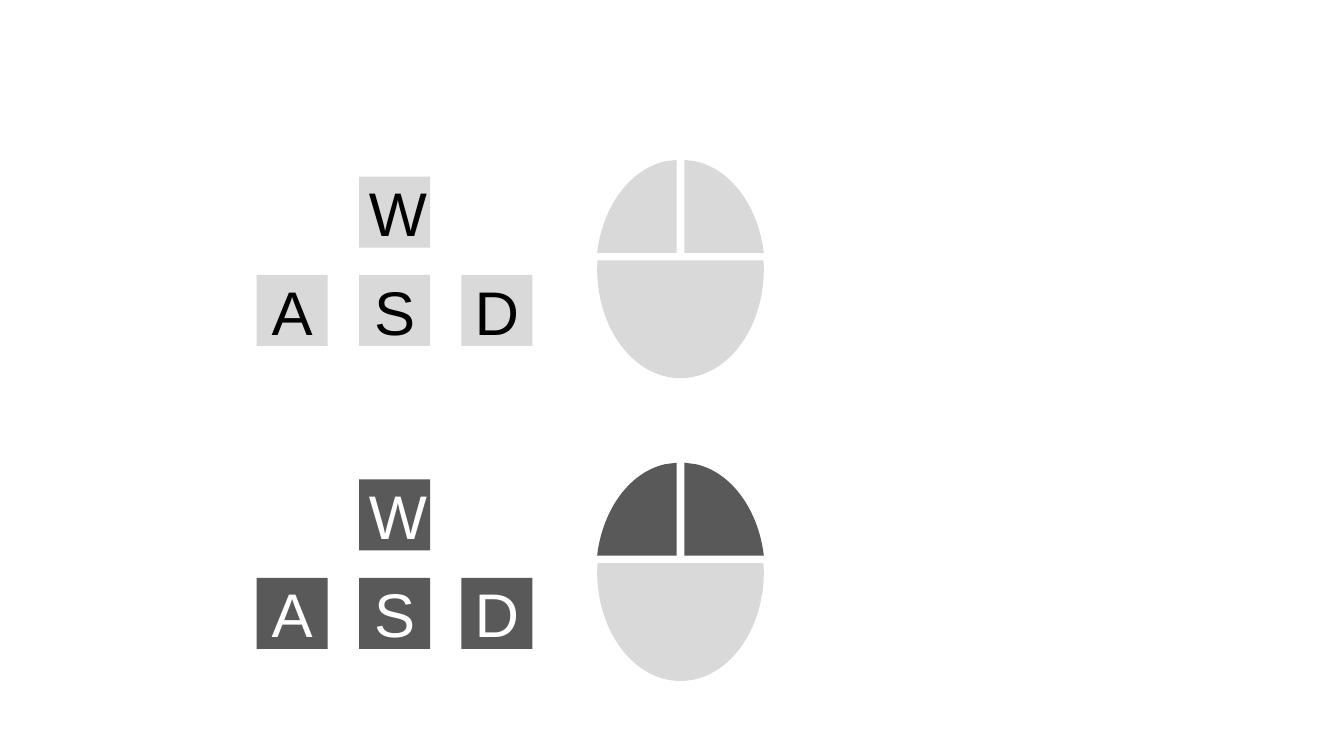
"""Draw two sets of WASD keys, each beside a computer mouse, in light and dark states."""
from dataclasses import dataclass

from pptx import Presentation
from pptx.dml.color import RGBColor
from pptx.enum.shapes import MSO_SHAPE as Preset
from pptx.enum.text import MSO_ANCHOR as Anchor, PP_ALIGN as Align
from pptx.oxml.ns import qn
from pptx.oxml.xmlchemy import OxmlElement as new_element
from pptx.shapes.autoshape import Shape
from pptx.shapes.shapetree import SlideShapes
from pptx.util import Cm, Pt

BLACK = RGBColor(0x00, 0x00, 0x00)
WHITE = RGBColor(0xFF, 0xFF, 0xFF)
LIGHT = RGBColor(0xD9, 0xD9, 0xD9)
DARK = RGBColor(0x59, 0x59, 0x59)

KEY_SIZE = 1.79
KEYS_LEFT, KEYS_TOP = 6.47, 4.45
COLUMN_STEP, ROW_STEP = 2.58, 2.48
MOUSE_X, MOUSE_Y = 17.15, 6.78


@dataclass(frozen=True)
class Key:
    letter: str
    column: int
    row: int


@dataclass(frozen=True)
class ControlSet:
    offset: float
    active: RGBColor
    letter_color: RGBColor


@dataclass(frozen=True)
class Outline:
    points: tuple[tuple[float, float], ...]
    curve_starts: tuple[int, ...]


KEYS = (Key("W", 1, 0), Key("S", 1, 1), Key("A", 0, 1), Key("D", 2, 1))
SETS = (ControlSet(0, LIGHT, BLACK), ControlSet(7.63, DARK, WHITE))
BUTTON = Outline(
    (
        (0.1, -2.75), (0.4, -2.71),
        (1.25, -2.51), (1.9, -1.65), (2.08, -0.56),
        (2.1, -0.41), (0.1, -0.41),
    ),
    (2,),
)
BODY = Outline(
    (
        (-2.09, -0.22), (2.09, -0.22), (2.1, 0),
        (2.1, 1.52), (1.16, 2.75), (0, 2.75),
        (-1.16, 2.75), (-2.1, 1.52), (-2.1, 0),
    ),
    (3, 6),
)


def paint(shape: Shape, color: RGBColor) -> None:
    """Give a shape a plain fill without outline or shadow."""
    shape.fill.solid()
    shape.fill.fore_color.rgb = color
    shape.line.fill.background()
    shape.shadow.inherit = False


def add_key(shapes: SlideShapes, key: Key, controls: ControlSet) -> None:
    """Add one square key with its letter."""
    left = KEYS_LEFT + key.column * COLUMN_STEP
    top = KEYS_TOP + key.row * ROW_STEP + controls.offset
    box = shapes.add_shape(Preset.RECTANGLE, Cm(left), Cm(top), Cm(KEY_SIZE), Cm(KEY_SIZE))
    paint(box, controls.active)
    box.text_frame.vertical_anchor = Anchor.MIDDLE
    para = box.text_frame.paragraphs[0]
    para.alignment = Align.CENTER
    span = para.add_run()
    span.text = key.letter
    span.font.name = "Arial"
    span.font.size = Pt(44)
    span.font.color.rgb = controls.letter_color


def bend(shape: Shape, curve_starts: tuple[int, ...]) -> None:
    """Turn three line segments from each start point into one Bezier curve."""
    segments = list(shape.element.iter(qn("a:lnTo")))
    for start in curve_starts:
        group = segments[start - 1:start + 2]
        curve = new_element("a:cubicBezTo")
        group[0].addprevious(curve)
        for segment in group:
            curve.append(segment[0])
            segment.getparent().remove(segment)


def add_part(
    shapes: SlideShapes, outline: Outline, side: int, offset: float, color: RGBColor
) -> None:
    """Add one part of the mouse, mirrored when side is -1."""
    points = [(Cm(MOUSE_X + side * x), Cm(MOUSE_Y + offset + y)) for x, y in outline.points]
    builder = shapes.build_freeform(*points[0])
    builder.add_line_segments(points[1:], close=True)
    part = builder.convert_to_shape()
    bend(part, outline.curve_starts)
    paint(part, color)


def add_mouse(shapes: SlideShapes, controls: ControlSet) -> None:
    """Add the two buttons and the body of a mouse."""
    for side in (-1, 1):
        add_part(shapes, BUTTON, side, controls.offset, controls.active)
    add_part(shapes, BODY, 1, controls.offset, LIGHT)


def main() -> None:
    """Build and save the deck."""
    deck = Presentation()
    deck.slide_width, deck.slide_height = Cm(33.87), Cm(19.05)
    page = deck.slides.add_slide(deck.slide_layouts[6])
    for controls in SETS:
        for key in KEYS:
            add_key(page.shapes, key, controls)
        add_mouse(page.shapes, controls)
    deck.save("out.pptx")


if __name__ == "__main__":
    main()
